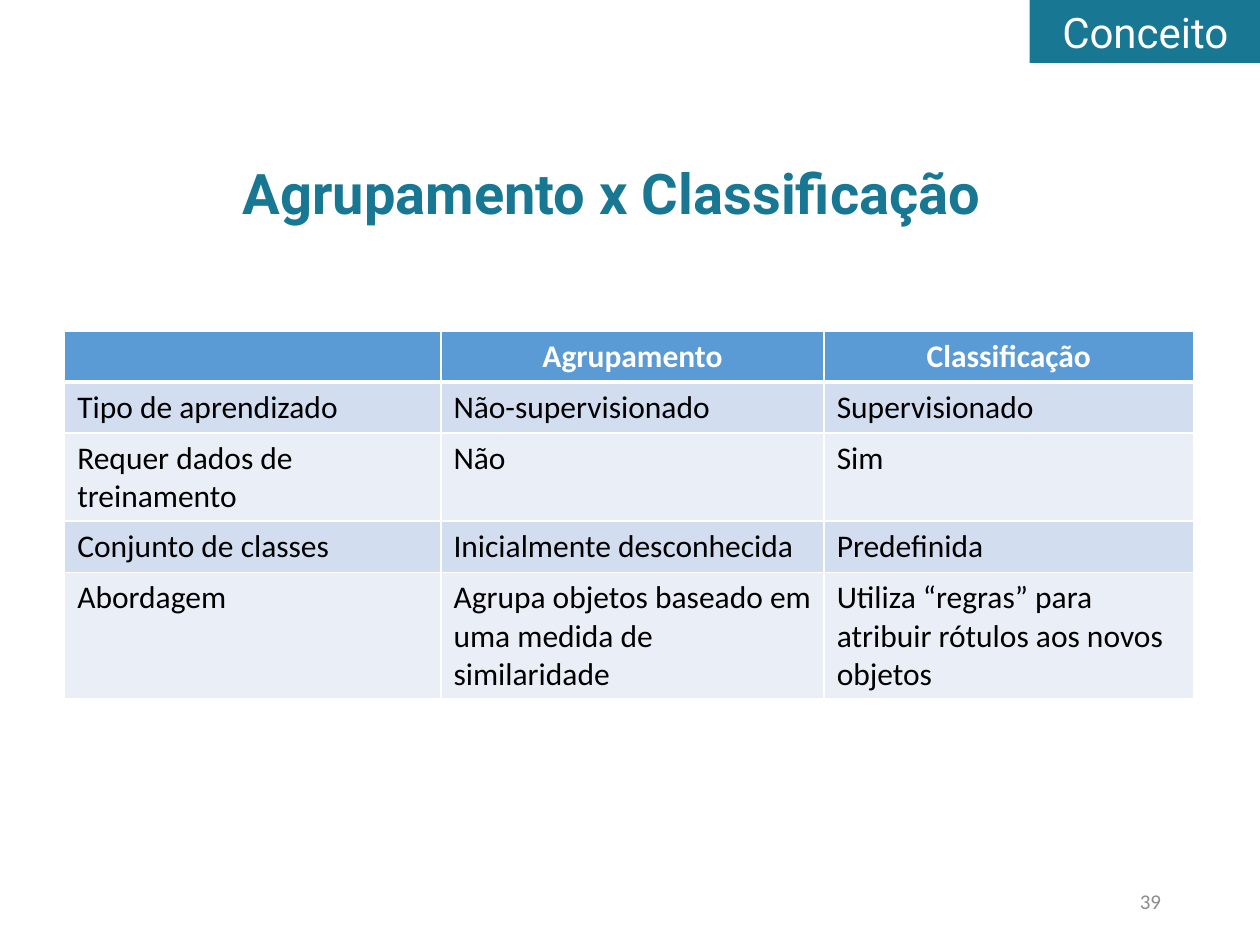
import pptx
import pptx.dml.color
import pptx.enum.shapes
import pptx.enum.text
import pptx.oxml
import pptx.oxml.ns
import pptx.util

Pt = pptx.util.Pt
ALIGN = pptx.enum.text.PP_ALIGN
ANCHOR = pptx.enum.text.MSO_ANCHOR

TITLE = "Agrupamento x Classificação"
TAG = "Conceito"
PAGE = "39"
COMPARISON = [
    ("", "Agrupamento", "Classificação"),
    ("Tipo de aprendizado", "Não-supervisionado", "Supervisionado"),
    ("Requer dados de treinamento", "Não", "Sim"),
    ("Conjunto de classes", "Inicialmente desconhecida", "Predefinida"),
    ("Abordagem", "Agrupa objetos baseado em uma medida de similaridade",
     "Utiliza “regras” para atribuir rótulos aos novos objetos"),
]
COLUMN_WIDTHS = (215, 219, 211)
ROW_HEIGHT = 29.2

TEAL, WHITE, BLACK, GREY = "187792", "FFFFFF", "000000", "8C8C8C"
HEADER_FILL, BAND_FILLS = "5B9BD5", ("D2DEEF", "EAEFF7")


def rgb(colour):
    return pptx.dml.color.RGBColor.from_string(colour)


def write(frame, text, colour, align, **font):
    """Put one formatted paragraph in a text frame and return it."""
    paragraph = frame.paragraphs[0]
    paragraph.alignment = align
    run = paragraph.add_run()
    run.text = text
    run.font.color.rgb = rgb(colour)
    for attribute, value in font.items():
        setattr(run.font, attribute, value)
    return paragraph


def set_borders(cell, widths):
    for side, width in widths.items():
        cell._tc.get_or_add_tcPr().append(pptx.oxml.parse_xml(
            f'<a:{side} {pptx.oxml.ns.nsdecls("a")} w="{Pt(width)}">'
            f'<a:solidFill><a:srgbClr val="{WHITE}"/></a:solidFill></a:{side}>'))


def add_title(slide):
    title = slide.shapes.title
    title.left, title.top, title.width, title.height = map(Pt, (49.7, 83.5, 600, 57.6))
    title.text_frame.vertical_anchor = ANCHOR.MIDDLE
    line = write(title.text_frame, TITLE, TEAL, ALIGN.CENTER,
                 name="Roboto", size=Pt(32), bold=True)
    line.line_spacing = 0.9
    line.space_before = Pt(10)


def add_page_number(slide):
    box = slide.shapes.add_textbox(*map(Pt, (508.5, 500.5, 162, 28.75)))
    box.text_frame.word_wrap = True
    box.text_frame.vertical_anchor = ANCHOR.MIDDLE
    write(box.text_frame, PAGE, GREY, ALIGN.RIGHT, name="Calibri", size=Pt(12))


def add_tag(slide):
    tag = slide.shapes.add_shape(pptx.enum.shapes.MSO_SHAPE.RECTANGLE,
                                 *map(Pt, (588.4, 0, 131.6, 36)))
    tag.shadow.inherit = False
    tag.fill.solid()
    tag.fill.fore_color.rgb = rgb(TEAL)
    tag.line.fill.background()
    frame = tag.text_frame
    frame.word_wrap = False
    frame.vertical_anchor = ANCHOR.TOP
    frame.margin_right = Pt(18)
    write(frame, TAG, WHITE, ALIGN.RIGHT, name="Roboto", size=Pt(24))


def add_comparison(slide):
    table = slide.shapes.add_table(
        len(COMPARISON), len(COLUMN_WIDTHS), Pt(37), Pt(189),
        Pt(sum(COLUMN_WIDTHS)), Pt(ROW_HEIGHT * len(COMPARISON))).table
    for column, width in zip(table.columns, COLUMN_WIDTHS):
        column.width = Pt(width)
    for r, texts in enumerate(COMPARISON):
        table.rows[r].height = Pt(ROW_HEIGHT)
        header = r == 0
        for c, text in enumerate(texts):
            cell = table.cell(r, c)
            set_borders(cell, {"lnL": 1, "lnR": 1, "lnT": 3 if r == 1 else 1,
                               "lnB": 3 if header else 1})
            cell.fill.solid()
            cell.fill.fore_color.rgb = rgb(HEADER_FILL if header else BAND_FILLS[(r - 1) % 2])
            if text:
                write(cell.text_frame, text, WHITE if header else BLACK,
                      ALIGN.CENTER if header else ALIGN.LEFT,
                      name="Calibri", size=Pt(18), bold=header)


def main():
    deck = pptx.Presentation()
    deck.slide_width, deck.slide_height = Pt(720), Pt(540)
    slide = deck.slides.add_slide(deck.slide_layouts.get_by_name("Title Only"))
    add_title(slide)
    add_page_number(slide)
    add_tag(slide)
    add_comparison(slide)
    deck.save("out.pptx")


if __name__ == "__main__":
    main()
